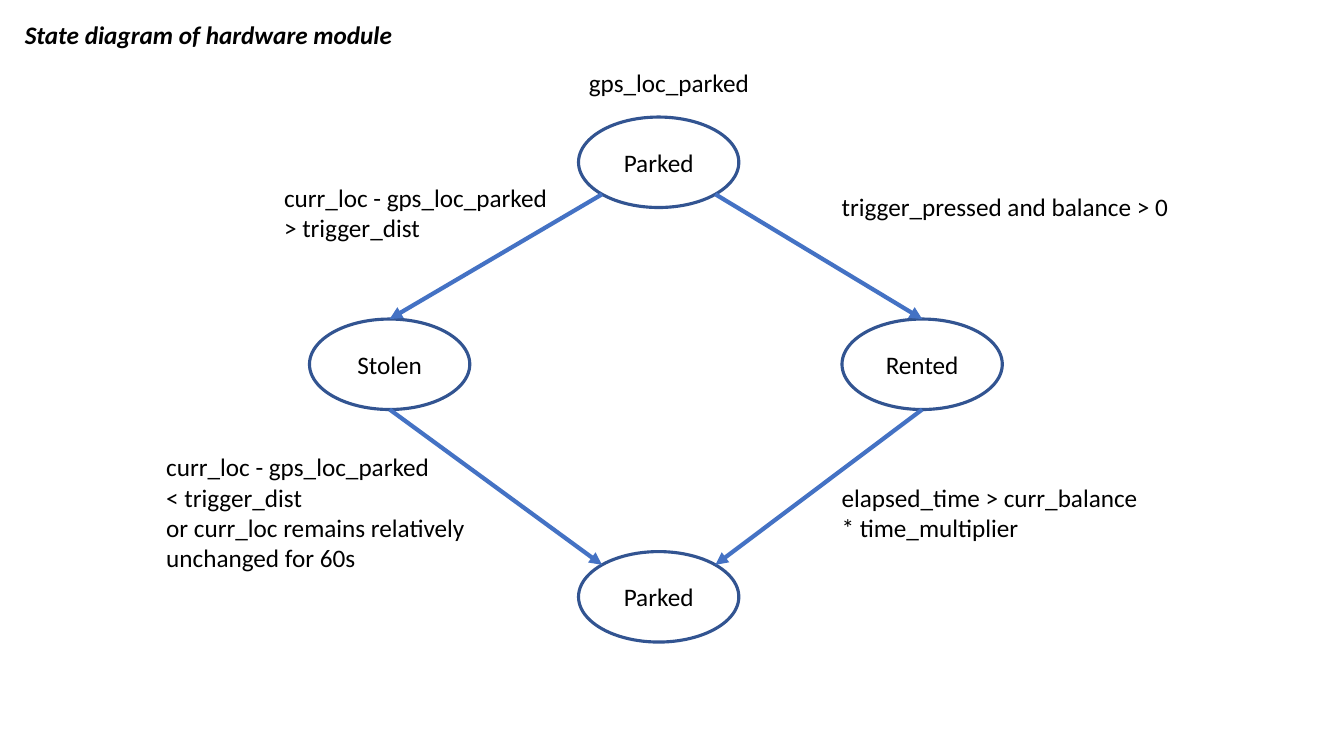
from dataclasses import dataclass
from math import cos, pi, sin

from lxml.etree import SubElement
from pptx import Presentation
from pptx.dml.color import RGBColor
from pptx.enum.shapes import MSO_CONNECTOR, MSO_SHAPE
from pptx.enum.text import MSO_ANCHOR, MSO_AUTO_SIZE, PP_ALIGN
from pptx.oxml.ns import qn
from pptx.util import Cm, Pt


@dataclass(frozen=True)
class Theme:
    font: str = "Calibri"
    text_size: int = 18
    text: RGBColor = RGBColor(0x00, 0x00, 0x00)
    outline: RGBColor = RGBColor(0x32, 0x54, 0x91)
    arrow: RGBColor = RGBColor(0x44, 0x72, 0xC4)
    outline_width: float = 2.25
    arrow_width: float = 3


# Connection sites of an ellipse, counted counterclockwise from the top
TOP, TOP_LEFT, BOTTOM_LEFT, BOTTOM, BOTTOM_RIGHT, TOP_RIGHT = 0, 1, 3, 4, 5, 7
STATE_WIDTH, STATE_HEIGHT = 4.04, 2.28


class StateDiagram:
    def __init__(self, slide, theme):
        self.slide = slide
        self.theme = theme

    def set_text(self, frame, lines, align=PP_ALIGN.LEFT, anchor=MSO_ANCHOR.TOP,
                 emphasis=False):
        frame.text = "\n".join(lines)
        frame.vertical_anchor = anchor
        for paragraph in frame.paragraphs:
            paragraph.alignment = align
            font = paragraph.font
            font.name = self.theme.font
            font.size = Pt(self.theme.text_size)
            font.color.rgb = self.theme.text
            font.bold = font.italic = emphasis

    def title(self, text, left, top, width, height):
        heading = self.slide.shapes.title
        heading.left, heading.top = Cm(left), Cm(top)
        heading.width, heading.height = Cm(width), Cm(height)
        heading.text_frame.auto_size = MSO_AUTO_SIZE.NONE
        self.set_text(heading.text_frame, [text], emphasis=True)

    def state(self, name, center_x, center_y):
        oval = self.slide.shapes.add_shape(
            MSO_SHAPE.OVAL,
            Cm(center_x - STATE_WIDTH / 2), Cm(center_y - STATE_HEIGHT / 2),
            Cm(STATE_WIDTH), Cm(STATE_HEIGHT))
        oval.shadow.inherit = False
        oval.fill.background()
        oval.line.color.rgb = self.theme.outline
        oval.line.width = Pt(self.theme.outline_width)
        self.set_text(oval.text_frame, [name], PP_ALIGN.CENTER, MSO_ANCHOR.MIDDLE)
        return oval

    def site(self, state, index):
        angle = index * pi / 4
        x = state.left + state.width / 2 * (1 - sin(angle))
        y = state.top + state.height / 2 * (1 - cos(angle))
        return round(x), round(y)

    def transition(self, source, source_site, target, target_site):
        arrow = self.slide.shapes.add_connector(
            MSO_CONNECTOR.STRAIGHT,
            *self.site(source, source_site), *self.site(target, target_site))
        arrow.line.color.rgb = self.theme.arrow
        arrow.line.width = Pt(self.theme.arrow_width)
        properties = arrow.element.spPr
        SubElement(properties.find(qn("a:ln")), qn("a:tailEnd"), type="triangle")
        SubElement(properties, qn("a:effectLst"))
        # Glue both ends, so that the arrow follows its states
        glue = arrow.element.nvCxnSpPr.cNvCxnSpPr
        for tag, state, index in (("a:stCxn", source, source_site),
                                  ("a:endCxn", target, target_site)):
            SubElement(glue, qn(tag), id=str(state.shape_id), idx=str(index))

    def label(self, lines, left, top, width, height, wrap=True):
        box = self.slide.shapes.add_textbox(Cm(left), Cm(top), Cm(width), Cm(height))
        box.text_frame.word_wrap = wrap
        box.text_frame.auto_size = MSO_AUTO_SIZE.SHAPE_TO_FIT_TEXT
        self.set_text(box.text_frame, lines)


presentation = Presentation()
presentation.slide_width, presentation.slide_height = Cm(33.87), Cm(19.05)
title_only = presentation.slide_layouts[5]
diagram = StateDiagram(presentation.slides.add_slide(title_only), Theme())

diagram.title("State diagram of hardware module", 0.37, 0.36, 10.77, 1.03)

# States
parked_start = diagram.state("Parked", 16.6, 4.09)
parked_end = diagram.state("Parked", 16.6, 15.04)
rented = diagram.state("Rented", 23.24, 9.18)
stolen = diagram.state("Stolen", 9.82, 9.18)

# Transitions
diagram.transition(parked_start, BOTTOM_LEFT, stolen, TOP)
diagram.transition(parked_start, BOTTOM_RIGHT, rented, TOP)
diagram.transition(rented, BOTTOM, parked_end, TOP_RIGHT)
diagram.transition(stolen, BOTTOM, parked_end, TOP_LEFT)

# Stored location and transition conditions
LOCATION_CHANGE = "curr_loc - gps_loc_parked"
diagram.label(["gps_loc_parked"], 14.59, 1.58, 4.6, 1.03, wrap=False)
diagram.label([LOCATION_CHANGE, "> trigger_dist"], 6.91, 4.47, 7.7, 1.8)
diagram.label([LOCATION_CHANGE, "< trigger_dist",
               "or curr_loc remains relatively unchanged for 60s"],
              3.94, 11.26, 8.28, 3.33)
diagram.label(["trigger_pressed and balance > 0"], 20.96, 4.7, 8.84, 1.03, wrap=False)
diagram.label(["elapsed_time > curr_balance * time_multiplier"],
              20.96, 12.02, 8.05, 1.8)

presentation.save("out.pptx")
